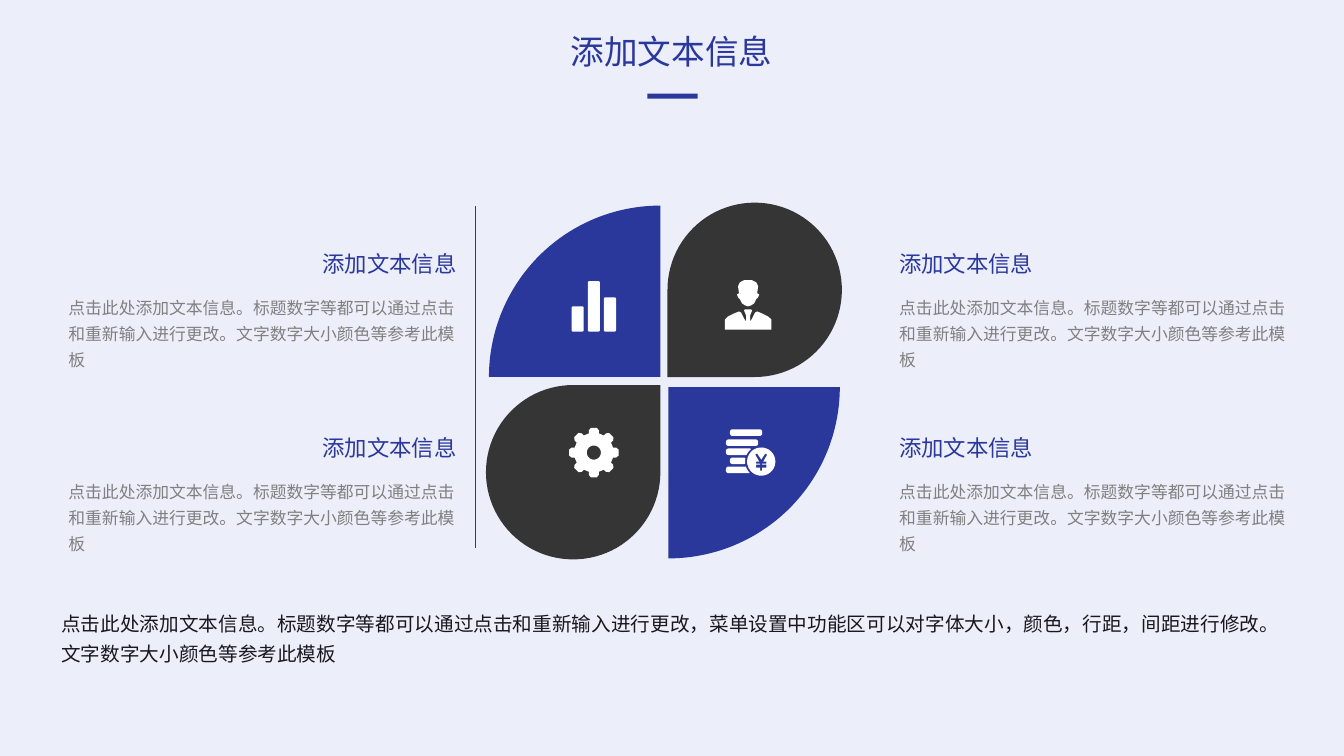
"""Build a slide with a four-petal diagram, icons and captions."""
from dataclasses import dataclass
from math import cos, radians, sin, sqrt

from lxml import etree
from pptx import Presentation
from pptx import util as u
from pptx.dml.color import RGBColor
from pptx.enum import shapes, text
from pptx.oxml import ns

BLUE = RGBColor(0x2A, 0x38, 0x9C)
DARK = RGBColor(0x35, 0x35, 0x35)
WHITE = RGBColor(0xFF, 0xFF, 0xFF)
GREY = RGBColor(0x80, 0x80, 0x80)
INK = RGBColor(0x18, 0x19, 0x1E)
PALE = RGBColor(0xEC, 0xEE, 0xFA)
HEAD_FONT = "Noto Sans CJK JP"
BODY_FONT = "Noto Sans CJK SC"

HEADING = "添加文本信息"
BODY = "点击此处添加文本信息。标题数字等都可以通过点击和重新输入进行更改。文字数字大小颜色等参考此模板"
SUMMARY = ("点击此处添加文本信息。标题数字等都可以通过点击和重新输入进行更改，"
           "菜单设置中功能区可以对字体大小，颜色，行距，间距进行修改。文字数字大小颜色等参考此模板")

Points = list[tuple[float, float]]


@dataclass
class Style:
    """Character and paragraph format of a text block."""
    size: float
    font: str
    color: RGBColor
    spacing: float = 1.0
    wrap: bool = True
    align: text.PP_ALIGN = text.PP_ALIGN.LEFT


@dataclass
class Caption:
    """Place of a heading and the paragraph below it."""
    head_x: float
    body_x: float
    y: float


@dataclass
class Petal:
    """A teardrop and the turn that points it at the centre."""
    x: float
    y: float
    turn: float


@dataclass
class Quarter:
    """A quarter disc given by its corner and the start of its arc."""
    x: float
    y: float
    start: float


TITLE = Style(24, HEAD_FONT, BLUE, align=text.PP_ALIGN.CENTER)
HEAD = Style(16, HEAD_FONT, BLUE, wrap=False)
PARAGRAPH = Style(12, BODY_FONT, GREY, 1.3)
CLOSING = Style(14, BODY_FONT, INK, 1.3)

CAPTIONS = [Caption(hx, bx, y) for hx, bx in ((3.1, 0.58), (8.82, 8.82)) for y in (2.43, 4.26)]
PETALS = [Petal(4.82, 3.82, 0), Petal(6.62, 2.01, 180)]
QUARTERS = [Quarter(6.55, 3.74, 180), Quarter(6.63, 3.84, 0)]

HALF_HEAD = [(0, 2.78), (0.04, 2.78), (0.08, 2.8), (0.1, 2.84), (0.09, 2.91), (0.11, 2.92),
             (0.1, 2.95), (0.08, 2.97), (0.06, 3.01), (0.03, 3.03), (0, 3.04)]
HALF_BODY = [(0, 3.07), (0.03, 3.07), (0.04, 3.08), (0.02, 3.13), (0.02, 3.19), (0.04, 3.16),
             (0.07, 3.1), (0.09, 3.09), (0.14, 3.11), (0.2, 3.14), (0.23, 3.17), (0.23, 3.27), (0, 3.27)]
HALF_YEN = [(0, 4.56), (0.04, 4.5), (0.06, 4.51), (0.02, 4.58), (0.05, 4.58), (0.05, 4.6), (0.01, 4.6),
            (0.01, 4.61), (0.05, 4.61), (0.05, 4.64), (0.01, 4.64), (0.01, 4.67), (0, 4.67)]
TOOTH = [(0.19, -0.05), (0.22, -0.05), (0.245, -0.03), (0.245, 0.03), (0.22, 0.05), (0.19, 0.05)]
COIN_ROWS = [(7.24, 4.26, 7.56), (7.2, 4.36, 7.52), (7.2, 4.45, 7.46), (7.24, 4.54, 7.4), (7.2, 4.63, 7.45)]


def arc(x: float, y: float, r: float, start: float, sweep: float, steps: int) -> Points:
    """Sample a circular arc, with angles in degrees."""
    angles = [radians(start + sweep * i / steps) for i in range(steps + 1)]
    return [(x + r * cos(a), y + r * sin(a)) for a in angles]


def rounded(x: float, y: float, right: float, bottom: float, r: float) -> Points:
    """Outline a box with round corners."""
    corners = [(x + r, y + r, 180), (right - r, y + r, 270),
               (right - r, bottom - r, 0), (x + r, bottom - r, 90)]
    return [pt for cx, cy, start in corners for pt in arc(cx, cy, r, start, 90, 5)]


def mirrored(half: Points, axis: float) -> Points:
    """Complete a half outline about a vertical axis."""
    return [(axis + dx, y) for dx, y in half] + [(axis - dx, y) for dx, y in reversed(half)]


def gear(x: float, y: float) -> list[Points]:
    """Outline a gear with eight teeth and a round hole."""
    turns = [radians(45 * i) for i in range(8)]
    rim = [(x + a * cos(t) - b * sin(t), y + a * sin(t) + b * cos(t)) for t in turns for a, b in TOOTH]
    return [rim, arc(x, y, 0.07, 0, 360, 40)]


def coins(x: float, y: float) -> list[Points]:
    """Outline stacked coins notched around a round yen coin."""
    def notch(px: float, py: float) -> tuple[float, float]:
        """Keep a point outside the gap around the coin."""
        gap = 0.16 ** 2 - (py - y) ** 2
        return (min(px, x - sqrt(gap)) if gap > 0 else px, py)

    rows = [[notch(*pt) for pt in rounded(left, top, right, top + 0.065, 0.025)]
            for left, top, right in COIN_ROWS]
    return rows + [arc(x, y, 0.14, 0, 360, 48), mirrored(HALF_YEN, x)]


def paint(sp, color: RGBColor) -> None:
    """Give a shape a plain fill without line or shadow."""
    sp.fill.solid()
    sp.fill.fore_color.rgb = color
    sp.line.fill.background()
    sp.shadow.inherit = False


def draw_outline(s, contours: list[Points], color: RGBColor) -> None:
    """Draw closed contours as one freeform."""
    scaled = [[(u.Inches(x), u.Inches(y)) for x, y in c] for c in contours]
    builder = s.shapes.build_freeform(*scaled[0][0])
    builder.add_line_segments(scaled[0][1:], close=True)
    for c in scaled[1:]:
        builder.move_to(*c[0])
        builder.add_line_segments(c[1:], close=True)
    paint(builder.convert_to_shape(), color)


def draw_preset(s, kind, x: float, y: float, w: float, h: float, color: RGBColor, turn: float = 0) -> None:
    """Draw a plain preset shape."""
    sp = s.shapes.add_shape(kind, *map(u.Inches, (x, y, w, h)))
    sp.rotation = turn
    paint(sp, color)


def write(sp, words: str, style: Style, x: float, y: float, w: float, h: float) -> None:
    """Place a text holder and set its words and format."""
    for name, value in dict(left=x, top=y, width=w, height=h).items():
        setattr(sp, name, u.Inches(value))
    tf = sp.text_frame
    p = tf.paragraphs[0]
    r = p.add_run()
    r.text = words
    formats = [
        (tf, dict(word_wrap=style.wrap, auto_size=text.MSO_AUTO_SIZE.SHAPE_TO_FIT_TEXT,
                  vertical_anchor=text.MSO_ANCHOR.TOP)),
        (p, dict(alignment=style.align, line_spacing=style.spacing)),
        (r.font, dict(size=u.Pt(style.size), name=style.font)),
        (r.font.color, dict(rgb=style.color)),
    ]
    for target, values in formats:
        for name, value in values.items():
            setattr(target, name, value)
    etree.SubElement(r.font._element, ns.qn("a:ea"), typeface=style.font)


def add_text(s, words: str, style: Style, x: float, y: float, w: float, h: float) -> None:
    """Add a text box."""
    write(s.shapes.add_textbox(0, 0, 0, 0), words, style, x, y, w, h)


def main() -> None:
    """Build and save the slide."""
    prs = Presentation()
    prs.slide_width, prs.slide_height = u.Inches(13.33), u.Inches(7.5)
    s = prs.slides.add_slide(prs.slide_layouts[5])
    s.background.fill.solid()
    s.background.fill.fore_color.rgb = PALE

    write(s.shapes.title, HEADING, TITLE, 5.48, 0.26, 2.36, 0.5)
    draw_preset(s, shapes.MSO_SHAPE.RECTANGLE, 6.42, 0.93, 0.5, 0.05, BLUE)

    for petal in PETALS:
        draw_preset(s, shapes.MSO_SHAPE.TEAR, petal.x, petal.y, 1.73, 1.73, DARK, petal.turn)
    for q in QUARTERS:
        draw_outline(s, [[(q.x, q.y)] + arc(q.x, q.y, 1.7, q.start, 90, 60)], BLUE)

    divider = s.shapes.add_connector(shapes.MSO_CONNECTOR.STRAIGHT, *map(u.Inches, (4.71, 5.44, 4.71, 2.04)))
    divider.line.color.rgb = BLUE
    divider.line.width = u.Pt(0.5)
    etree.SubElement(divider._element.spPr, ns.qn("a:effectLst"))

    bars = [rounded(5.67 + 0.16 * i, top, 5.79 + 0.16 * i, 3.29, 0.015)
            for i, top in enumerate((3.04, 2.79, 2.95))]
    person = [mirrored(HALF_BODY, 7.42), mirrored(HALF_HEAD, 7.42)]
    for icon in (bars, person, gear(5.89, 4.49), coins(7.55, 4.58)):
        draw_outline(s, icon, WHITE)

    for c in CAPTIONS:
        add_text(s, HEADING, HEAD, c.head_x, c.y, 1.55, 0.37)
        add_text(s, BODY, PARAGRAPH, c.body_x, c.y + 0.41, 4.12, 0.86)
    add_text(s, SUMMARY, CLOSING, 0.51, 5.95, 12.23, 0.69)

    prs.save("out.pptx")


if __name__ == "__main__":
    main()
